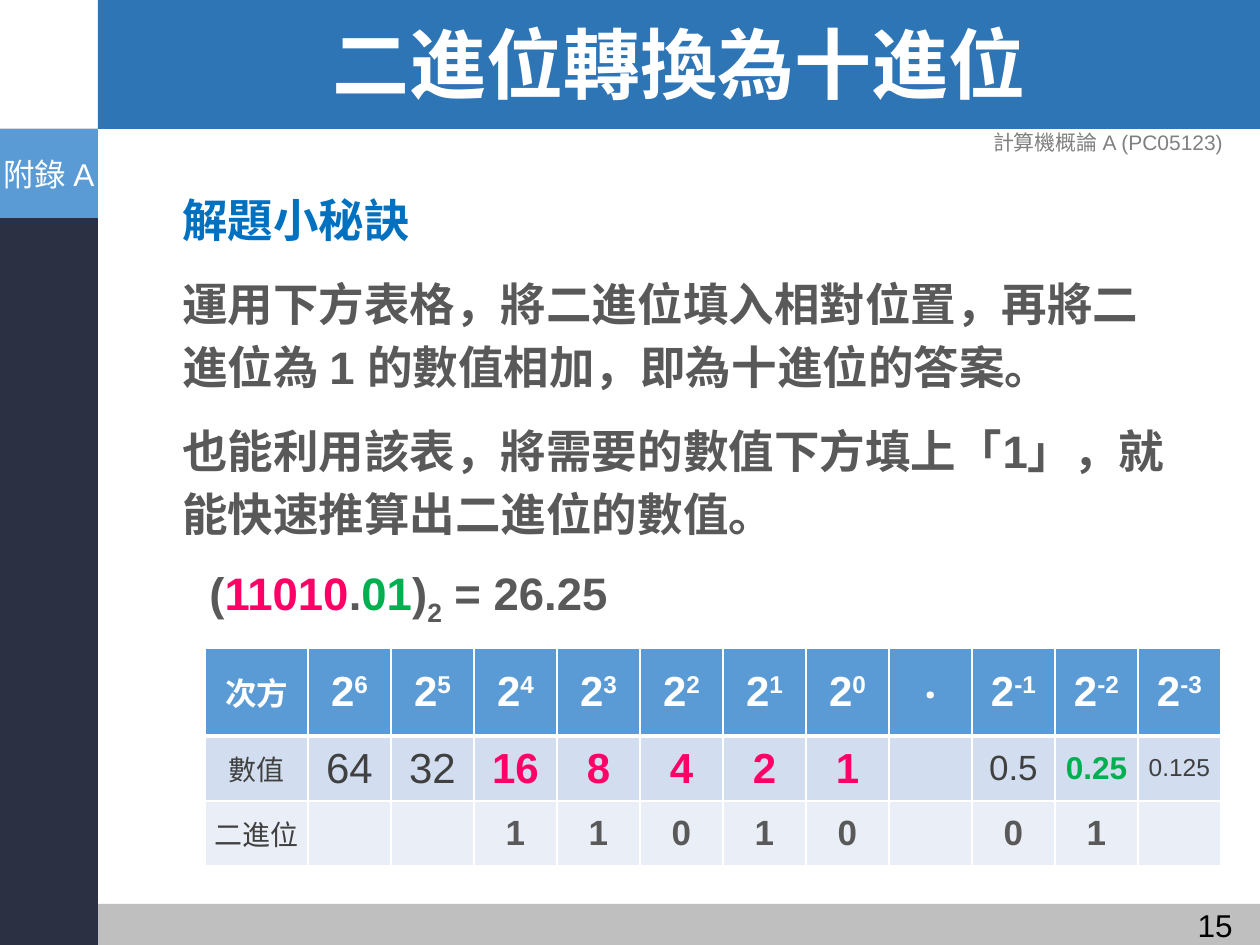
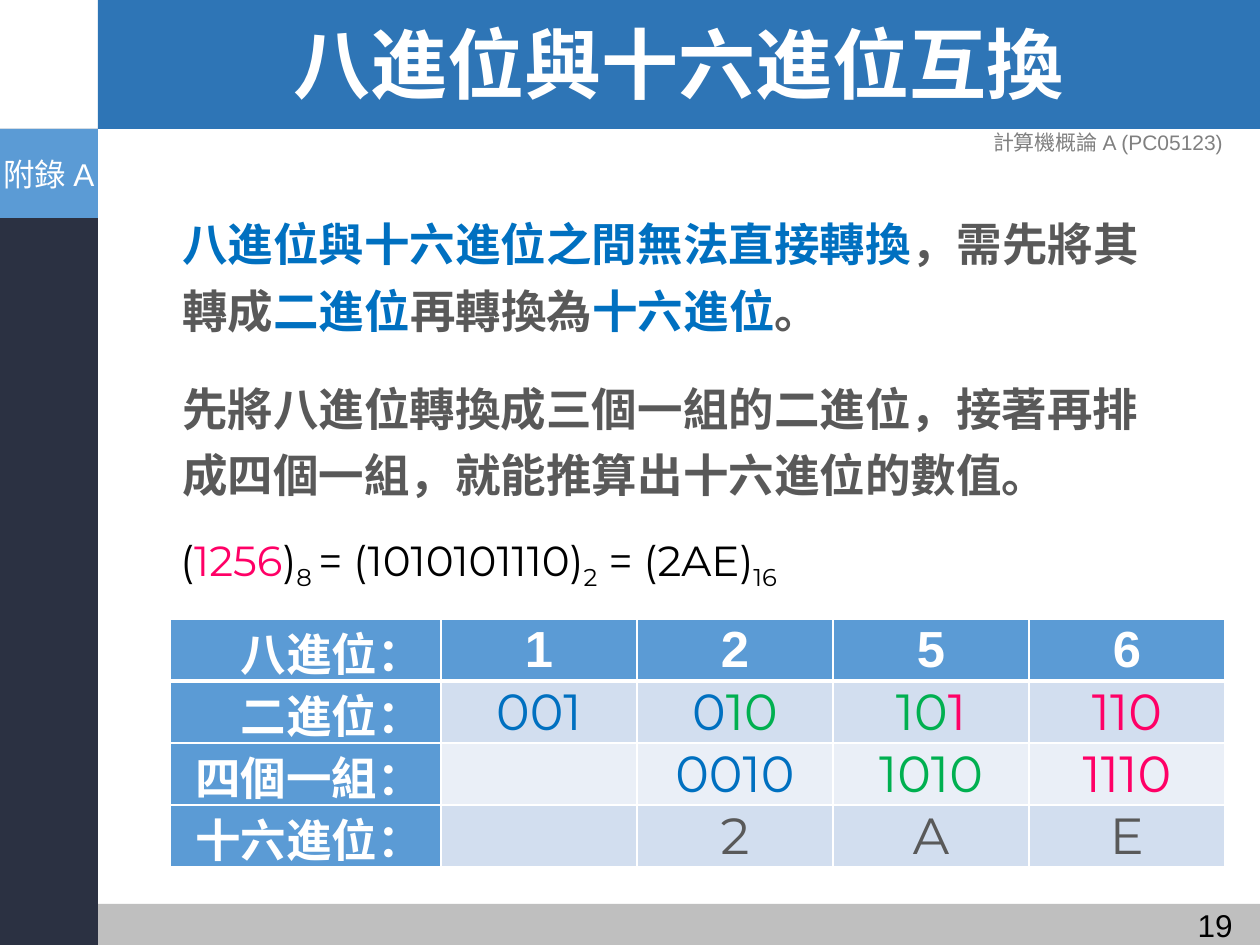
"""Build two slides on converting between binary, decimal, octal and hexadecimal."""
from dataclasses import dataclass, replace
from typing import Optional, Sequence

from lxml.etree import SubElement
from pptx import Presentation
from pptx.dml.color import RGBColor
from pptx.enum.shapes import MSO_SHAPE
from pptx.enum.text import MSO_ANCHOR, PP_ALIGN
from pptx.oxml.ns import qn
from pptx.util import Emu, Pt


@dataclass(frozen=True)
class Style:
    """Look of a run of text; baseline is a percentage."""
    size: int
    ink: str
    bold: bool = False
    font: str = "Arial"
    baseline: int = 0


@dataclass(frozen=True)
class Theme:
    """Colours and type styles used on every slide."""
    band: str = "2E75B6"
    footer: str = "BFBFBF"
    sidebar: str = "2B3142"
    accent: str = "5B9BD5"
    row_dark: str = "D2DEEF"
    row_light: str = "EAEFF7"
    white: str = "FFFFFF"
    pink: str = "FF0066"
    green: str = "00B050"
    blue: str = "0070C0"
    title: Style = Style(44, "FFFFFF", True, "Montserrat")
    body: Style = Style(26, "595959", True)
    key: Style = Style(26, "0070C0", True)
    tag: Style = Style(18, "FFFFFF")
    course: Style = Style(12, "808080")
    page: Style = Style(18, "000000")
    head: Style = Style(24, "FFFFFF", True)
    value: Style = Style(24, "404040")
    bit: Style = Style(20, "595959", True)
    row_label: Style = Style(26, "FFFFFF", True)
    octal: Style = Style(29, "FFFFFF", True)
    digits: Style = Style(29, "595959", False, "Montserrat")
    equation: Style = Style(24, "000000", False, "Montserrat")


@dataclass(frozen=True)
class Box:
    """Place and size in px."""
    left: int
    top: int
    width: int
    height: int

    def emu(self) -> tuple[Emu, ...]:
        """Return the box in EMU."""
        return tuple(px(n) for n in (self.left, self.top, self.width, self.height))


@dataclass(frozen=True)
class Span:
    """Text in one style."""
    text: str
    style: Style


@dataclass(frozen=True)
class Para:
    """Paragraph of spans with its spacing."""
    spans: Sequence[Span]
    align: PP_ALIGN = PP_ALIGN.LEFT
    leading: Optional[float] = None
    before: int = 0


@dataclass(frozen=True)
class Cell:
    """Table cell content and fill."""
    spans: Sequence[Span]
    fill: str
    align: PP_ALIGN = PP_ALIGN.CENTER


THEME = Theme()
EMU_PER_PX = 914400 / 126
BANDS = (
    (Box(98, 0, 1162, 129), THEME.band),
    (Box(98, 904, 1162, 41), THEME.footer),
    (Box(-1, 129, 99, 816), THEME.sidebar),
)


def px(length: int) -> Emu:
    """Convert px to EMU."""
    return Emu(round(length * EMU_PER_PX))


def rgb(code: str) -> RGBColor:
    """Return the colour for a hex code."""
    return RGBColor.from_string(code)


def write(paragraph, content: Para) -> None:
    """Put spans into a paragraph and format them."""
    paragraph.alignment = content.align
    if content.leading:
        paragraph.line_spacing = content.leading
    if content.before:
        paragraph.space_before = Pt(content.before)
    if not content.spans:
        return
    first, *others = content.spans
    paragraph.text = first.text
    for span in others:
        paragraph.add_run().text = span.text
    for run, span in zip(paragraph.runs, content.spans):
        style = span.style
        run.font.size = Pt(style.size)
        run.font.name = style.font
        run.font.bold = style.bold
        run.font.color.rgb = rgb(style.ink)
        if style.baseline:
            run._r.get_or_add_rPr().set("baseline", str(style.baseline * 1000))


def add_text(slide, box: Box, paras: Sequence[Para], anchor=MSO_ANCHOR.TOP) -> None:
    """Add a wrapping text box."""
    frame = slide.shapes.add_textbox(*box.emu()).text_frame
    frame.word_wrap = True
    frame.vertical_anchor = anchor
    for index, content in enumerate(paras):
        write(frame.add_paragraph() if index else frame.paragraphs[0], content)


def add_block(slide, box: Box, fill: str):
    """Add a plain filled rectangle."""
    block = slide.shapes.add_shape(MSO_SHAPE.RECTANGLE, *box.emu())
    block.shadow.inherit = False
    block.fill.solid()
    block.fill.fore_color.rgb = rgb(fill)
    block.line.fill.background()
    return block


def add_page(deck, title: str, page: int):
    """Add a slide with bands, title, course name, tag and page number."""
    slide = deck.slides.add_slide(deck.slide_layouts[6])
    for box, fill in BANDS:
        add_block(slide, box, fill)
    heading = Para([Span(title, THEME.title)], PP_ALIGN.CENTER, 0.9)
    add_text(slide, Box(98, 4, 1162, 129), [heading], MSO_ANCHOR.MIDDLE)
    course = Para([Span("計算機概論 A (PC05123)", THEME.course)], PP_ALIGN.CENTER)
    add_text(slide, Box(956, 117, 304, 50), [course], MSO_ANCHOR.MIDDLE)
    number = Para([Span(str(page), THEME.page)], PP_ALIGN.RIGHT)
    add_text(slide, Box(1111, 900, 134, 50), [number])
    frame = add_block(slide, Box(0, 129, 98, 89), THEME.accent).text_frame
    frame.word_wrap = False
    frame.vertical_anchor = MSO_ANCHOR.MIDDLE
    frame.margin_left = frame.margin_right = frame.margin_top = frame.margin_bottom = px(5)
    write(frame.paragraphs[0], Para([Span("附錄 A", THEME.tag)], PP_ALIGN.CENTER))
    return slide


def add_borders(cell, row: int) -> None:
    """Draw white cell borders, thick under the header row."""
    widths = {"lnL": 1, "lnR": 1, "lnT": 3 if row == 1 else 1, "lnB": 3 if row == 0 else 1}
    properties = cell._tc.get_or_add_tcPr()
    for side, width in widths.items():
        line = SubElement(properties, qn(f"a:{side}"), w=str(Pt(width)))
        SubElement(SubElement(line, qn("a:solidFill")), qn("a:srgbClr"), val=THEME.white)


def add_grid(slide, left: int, top: int, widths: Sequence[int], heights: Sequence[int],
             rows: Sequence[Sequence[Cell]], inset: int) -> None:
    """Add a table with its cells filled and bordered."""
    box = Box(left, top, sum(widths), sum(heights))
    table = slide.shapes.add_table(len(heights), len(widths), *box.emu()).table
    table.first_row = table.horz_banding = False
    for column, width in zip(table.columns, widths):
        column.width = px(width)
    for r, (height, cells) in enumerate(zip(heights, rows)):
        table.rows[r].height = px(height)
        for c, content in enumerate(cells):
            cell = table.cell(r, c)
            cell.margin_left = cell.margin_right = px(inset)
            cell.margin_top = cell.margin_bottom = 0
            cell.vertical_anchor = MSO_ANCHOR.MIDDLE
            add_borders(cell, r)
            cell.fill.solid()
            cell.fill.fore_color.rgb = rgb(content.fill)
            write(cell.text_frame.paragraphs[0], Para(content.spans, content.align))


def build_binary_to_decimal(deck) -> None:
    """Add the slide that turns binary into decimal."""
    slide = add_page(deck, "二進位轉換為十進位", 15)
    advice = (
        "運用下方表格，將二進位填入相對位置，再將二進位為 1 的數值相加，即為十進位的答案。",
        "也能利用該表，將需要的數值下方填上「1」，就能快速推算出二進位的數值。",
    )
    add_text(slide, Box(170, 174, 1019, 700), [
        Para([Span("解題小秘訣", THEME.key)], leading=Pt(38)),
        *(Para([Span(text, THEME.body)], leading=Pt(36), before=12) for text in advice),
    ])

    label = replace(THEME.value, size=16)
    chosen = replace(THEME.value, ink=THEME.pink, bold=True)
    power = replace(THEME.head, baseline=30)
    heads = [[Span("次方", replace(THEME.head, size=18))]]
    for exponent in (6, 5, 4, 3, 2, 1, 0, None, -1, -2, -3):
        heads.append([Span("‧", THEME.head)] if exponent is None else
                     [Span("2", THEME.head), Span(str(exponent), power)])
    values = [
        [Span("數值", label)],
        *([Span(text, THEME.value)] for text in ("64", "32")),
        *([Span(text, chosen)] for text in ("16", "8", "4", "2", "1")),
        [],
        [Span("0.5", replace(THEME.value, size=20))],
        [Span("0.25", replace(chosen, size=18, ink=THEME.green))],
        [Span("0.125", replace(THEME.value, size=14))],
    ]
    bits = [[Span("二進位", label)]]
    bits += [[] if bit == " " else [Span(bit, THEME.bit)] for bit in "  11010 01 "]
    fills = (THEME.accent, THEME.row_dark, THEME.row_light)
    rows = [[Cell(spans, fill) for spans in row]
            for row, fill in zip((heads, values, bits), fills)]
    add_grid(slide, 205, 648, [103] + [83] * 11, [88, 65, 65], rows, 9)

    add_text(slide, Box(197, 559, 460, 68), [Para([
        Span("(", THEME.body),
        Span("11010", replace(THEME.body, ink=THEME.pink)),
        Span(".", THEME.body),
        Span("01", replace(THEME.body, ink=THEME.green)),
        Span(")", THEME.body),
        Span("2", replace(THEME.body, baseline=-25)),
        Span(" = 26.25", THEME.body),
    ])])


def build_octal_and_hex(deck) -> None:
    """Add the slide that goes between octal and hexadecimal."""
    slide = add_page(deck, "八進位與十六進位互換", 19)
    route = [
        Span("八進位與十六進位之間無法直接轉換", THEME.key),
        Span("，需先將其轉成", THEME.body),
        Span("二進位", THEME.key),
        Span("再轉換為", THEME.body),
        Span("十六進位", THEME.key),
        Span("。", THEME.body),
    ]
    method = "先將八進位轉換成三個一組的二進位，接著再排成四個一組，就能推算出十六進位的數值。"
    add_text(slide, Box(170, 198, 1019, 677), [
        Para(route, leading=Pt(38)),
        Para([Span(method, THEME.body)], leading=Pt(38), before=18),
    ])

    blue, green, pink = (replace(THEME.digits, ink=ink)
                         for ink in (THEME.blue, THEME.green, THEME.pink))
    steps = (
        ("八進位：", THEME.accent, [[Span(digit, THEME.octal)] for digit in "1256"]),
        ("二進位：", THEME.row_dark, [
            [Span("001", blue)],
            [Span("0", blue), Span("10", green)],
            [Span("10", green), Span("1", pink)],
            [Span("110", pink)],
        ]),
        ("四個一組：", THEME.row_light, [
            [], [Span("0010", blue)], [Span("1010", green)], [Span("1110", pink)],
        ]),
        ("十六進位：", THEME.row_dark, [[], *([Span(digit, THEME.digits)] for digit in "2AE")]),
    )
    rows = [[Cell([Span(label, THEME.row_label)], THEME.accent, PP_ALIGN.RIGHT),
             *(Cell(spans, fill) for spans in groups)] for label, fill, groups in steps]
    add_grid(slide, 170, 619, [271] + [196] * 4, [62] * 4, rows, 18)

    base = replace(THEME.equation, baseline=-25)
    add_text(slide, Box(168, 528, 795, 63), [Para([
        Span("(", THEME.equation),
        Span("1256", replace(THEME.equation, ink=THEME.pink)),
        Span(")", THEME.equation),
        Span("8 ", base),
        Span("= (1010101110)", THEME.equation),
        Span("2", base),
        Span(" = (2AE)", THEME.equation),
        Span("16", base),
    ])])


def main() -> None:
    """Build and save the deck."""
    deck = Presentation()
    deck.slide_width, deck.slide_height = px(1260), px(945)
    build_binary_to_decimal(deck)
    build_octal_and_hex(deck)
    deck.save("out.pptx")


if __name__ == "__main__":
    main()
